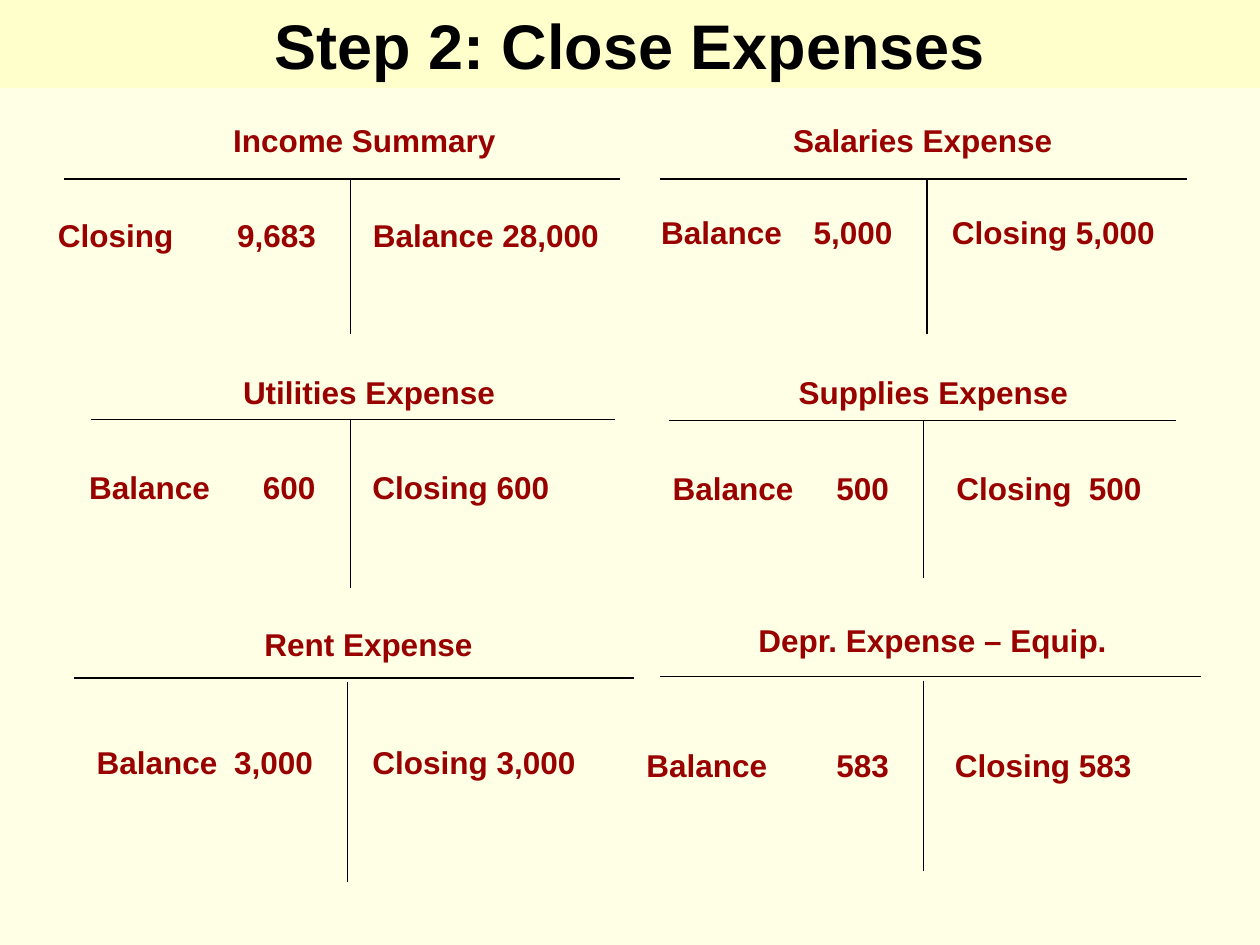
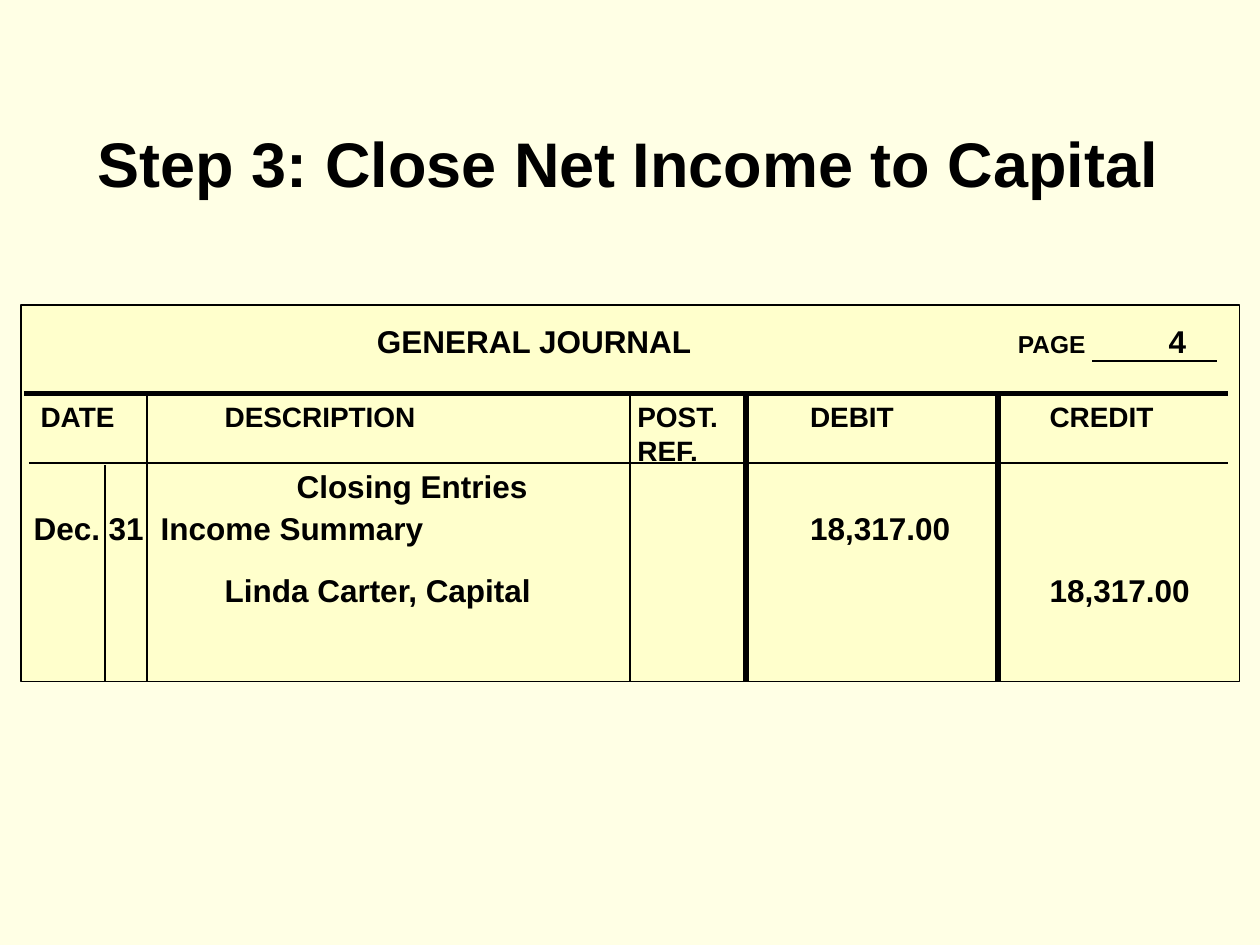
from dataclasses import dataclass

from lxml import etree
from pptx import Presentation
from pptx.dml.color import RGBColor
from pptx.enum import shapes, text
from pptx.oxml import ns
from pptx.util import Cm, Pt

PAGE, BAND, INK, ACCOUNT_RED = "FFFFE5", "FFFFCC", "000000", "990000"
FONT = "Arial"
AMOUNT_GAP = 0.7
HEADING_WIDTH = 8
ENTRY_HEIGHT = 1.02


@dataclass
class Account:
    """A T-account in cm; offsets are measured from the stem and the bar."""
    title: str
    bar: tuple
    stem: float
    depth: float
    heading: tuple
    debit: str
    debit_offset: float
    credit: str
    credit_offset: float
    drop: float
    stem_gap: float = 0


ACCOUNTS = [
    Account("Income Summary", (1.3, 3.61, 11.2), 5.77, 3.12, (-2.62, -1.3),
            "Closing\t9,683", -6.15, "Balance 28,000", 0.2, 0.62),
    Account("Salaries Expense", (13.31, 3.61, 10.62), 5.38, 3.12, (-2.95, -1.3),
            "Balance\t5,000", -5.61, "Closing 5,000", 0.25, 0.55),
    Account("Utilities Expense", (1.83, 8.46, 10.57), 5.23, 3.4, (-2.41, -1.07),
            "Balance\t600", -5.51, "Closing 600", 0.2, 0.86),
    Account("Supplies Expense", (13.49, 8.48, 10.21), 5.13, 3.18, (-2.77, -1.09),
            "Balance\t500", -5.31, "Closing\t500", 0.41, 0.86),
    Account("Rent Expense", (1.5, 13.67, 11.28), 5.51, 4.11, (-1.93, -1.2),
            "Balance\t3,000", -5.31, "Closing 3,000", 0.25, 1.19, 0.08),
    Account("Depr. Expense – Equip.", (13.31, 13.64, 10.9), 5.31, 3.91, (-3.58, -1.25),
            "Balance\t583", -5.84, "Closing 583", 0.38, 1.27, 0.08),
]

DESCRIPTION, POST, DEBIT, CREDIT = 3.85, 12.17, 15.65, 20.48
JOURNAL_ROWS = [
    (0, [6.92, 19.84, 22.88], [("\tGENERAL JOURNAL", 18), ("\tPAGE", 14), ("\t4", 18)]),
    (23, [0.14, DESCRIPTION, POST, DEBIT, CREDIT],
     [("\tDATE\tDESCRIPTION\tPOST.\tDEBIT\tCREDIT", 16)]),
    (0, [POST], [("\tREF.", 16)]),
    (0, [5.3], [("\tClosing Entries", 18)]),
    (2.5, [1.51, 2.56, DEBIT], [("Dec.\t31\tIncome Summary\t18,317.00", 18)]),
    (13.5, [DESCRIPTION, CREDIT], [("\tLinda Carter, Capital\t18,317.00", 18)]),
]


def rgb(value):
    """Turn a hex string into a colour."""
    return RGBColor.from_string(value)


def new_slide(deck):
    """Add a blank slide with the shared background."""
    slide = deck.slides.add_slide(deck.slide_layouts[6])
    slide.background.fill.solid()
    slide.background.fill.fore_color.rgb = rgb(PAGE)
    return slide


def style_run(run, size, colour):
    """Apply the shared bold face to a run."""
    run.font.name, run.font.size, run.font.bold = FONT, Pt(size), True
    run.font.color.rgb = rgb(colour)


def set_tabs(paragraph, stops, align="l"):
    """Give a paragraph tab stops in cm."""
    tabs = etree.SubElement(paragraph._p.get_or_add_pPr(), ns.qn("a:tabLst"))
    for stop in stops:
        etree.SubElement(tabs, ns.qn("a:tab"), pos=str(Cm(stop)), algn=align)


def add_rule(slide, x1, y1, x2, y2, weight=0.75):
    """Draw a straight black line between two points in cm."""
    rule = slide.shapes.add_connector(
        shapes.MSO_CONNECTOR.STRAIGHT, Cm(x1), Cm(y1), Cm(x2), Cm(y2))
    rule.line.color.rgb = rgb(INK)
    rule.line.width = Pt(weight)
    etree.SubElement(rule._element.spPr, ns.qn("a:effectLst"))


def add_label(slide, box, words, size=18, colour=ACCOUNT_RED):
    """Add one line of text in a box given in cm."""
    label = slide.shapes.add_textbox(*map(Cm, box))
    label.text_frame.word_wrap = True
    label.text_frame.text = words
    style_run(label.text_frame.paragraphs[0].runs[0], size, colour)
    return label


def add_title(slide, box, words, band=None):
    """Add the slide title, on a coloured band if one is given."""
    title = add_label(slide, box, words, 36, INK)
    title.text_frame.paragraphs[0].alignment = text.PP_ALIGN.CENTER
    if band:
        title.fill.solid()
        title.fill.fore_color.rgb = rgb(band)


def add_account(slide, account):
    """Draw a T-account with its heading, debit and credit."""
    left, top, width = account.bar
    stem = left + account.stem
    add_rule(slide, left, top, left + width, top)
    add_rule(slide, stem, top + account.stem_gap, stem, top + account.depth)
    dx, dy = account.heading
    add_label(slide, (stem + dx, top + dy, HEADING_WIDTH, ENTRY_HEIGHT), account.title)
    entries = [
        (account.debit, account.debit_offset, 6.99,
         -account.debit_offset - AMOUNT_GAP - 0.25, "r"),
        (account.credit, account.credit_offset, 5.08, 2.67, "l"),
    ]
    for words, offset, entry_width, stop, align in entries:
        entry = add_label(
            slide, (stem + offset, top + account.drop, entry_width, ENTRY_HEIGHT), words)
        if "\t" in words:
            set_tabs(entry.text_frame.paragraphs[0], [stop], align)


def add_journal(slide, left, top, width, height):
    """Draw the general journal page with its rules and entries."""
    journal = slide.shapes.add_shape(
        shapes.MSO_SHAPE.RECTANGLE, Cm(left), Cm(top), Cm(width), Cm(height))
    journal.shadow.inherit = False
    journal.fill.solid()
    journal.fill.fore_color.rgb = rgb(BAND)
    journal.line.color.rgb = rgb(INK)
    journal.line.width = Pt(1)
    frame = journal.text_frame
    frame.word_wrap = True
    frame.vertical_anchor = text.MSO_ANCHOR.TOP
    frame.margin_top = Cm(0.34)
    for index, (space, stops, parts) in enumerate(JOURNAL_ROWS):
        row = frame.add_paragraph() if index else frame.paragraphs[0]
        set_tabs(row, stops)
        row.alignment = text.PP_ALIGN.LEFT
        if space:
            row.space_before = Pt(space)
        for words, size in parts:
            run = row.add_run()
            run.text = words
            style_run(run, size, INK)

    right, bottom = left + 24.33, top + height - 0.02
    add_rule(slide, left + 0.15, top + 3.18, right, top + 3.18, 1)
    add_rule(slide, left + 0.05, top + 1.78, right, top + 1.78, 3)
    for x, start, weight in [(2.54, 1.78, 1), (12.27, 1.78, 1), (14.61, 1.83, 3),
                             (19.69, 1.83, 3), (1.68, 3.23, 1)]:
        add_rule(slide, left + x, top + start, left + x, bottom, weight)
    add_rule(slide, left + 21.59, top + 1.12, left + 24.1, top + 1.12, 1)


def main():
    """Build and save both slides."""
    deck = Presentation()
    deck.slide_width, deck.slide_height = Cm(25.4), Cm(19.05)

    expenses = new_slide(deck)
    add_title(expenses, (0, 0, 25.4, 1.78), "Step 2: Close Expenses", BAND)
    for account in ACCOUNTS:
        add_account(expenses, account)

    capital = new_slide(deck)
    add_journal(capital, 0.43, 6.15, 24.56, 7.59)
    add_title(capital, (1.22, 2.39, 22.89, 1.78), "Step 3: Close Net Income to Capital")

    deck.save("out.pptx")


if __name__ == "__main__":
    main()
